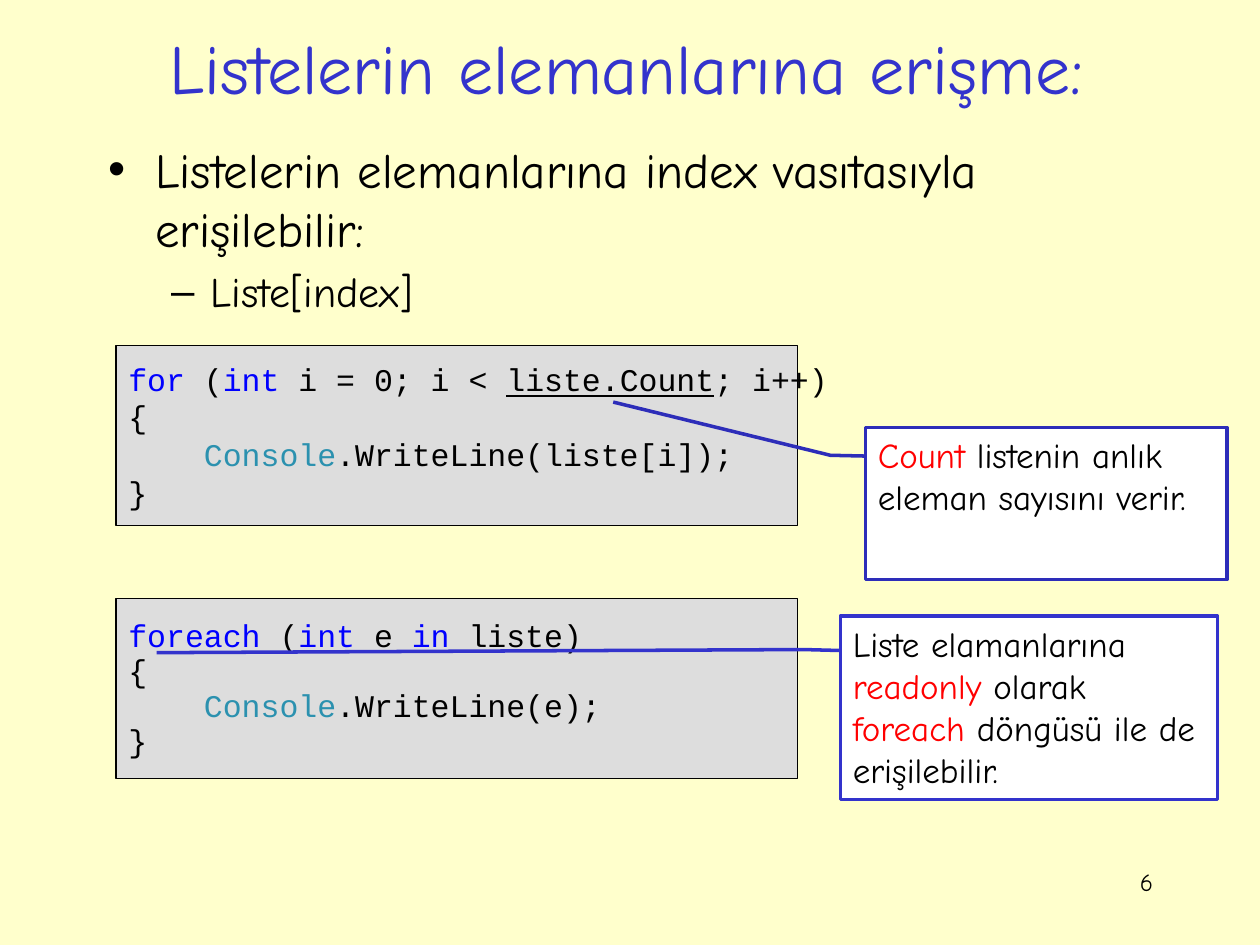
from lxml.etree import SubElement
from pptx import Presentation
from pptx.dml.color import RGBColor
from pptx.enum.shapes import MSO_SHAPE as Preset
from pptx.enum.text import MSO_ANCHOR as Anchor, PP_ALIGN as Align
from pptx.oxml.ns import qn
from pptx.util import Pt

CREAM = RGBColor(0xFF, 0xFF, 0xCC)
WHITE = RGBColor(0xFF, 0xFF, 0xFF)
BLACK = RGBColor(0, 0, 0)
GREY = RGBColor(0xDD, 0xDD, 0xDD)
INDIGO = RGBColor(0x33, 0x33, 0xCC)
DARK_INDIGO = RGBColor(0x2D, 0x2D, 0xB9)
RED = RGBColor(0xFF, 0, 0)
KEYWORD = RGBColor(0, 0, 0xFF)
CLASS = RGBColor(0x2B, 0x91, 0xAF)

BODY_FONT = "Comic Neue"
CODE_FONT = "Courier New"
CODE_SIZE = 18
CODE_INDENT = 4 * 0.6 * CODE_SIZE  # four monospaced characters


def write(frame, runs, *, size, font=BODY_FONT, color=BLACK, align=Align.LEFT,
          before=0, after=0, line=None, left=0, hang=0, bullet=None):
    """Add a paragraph; a run is a string or a (text, colour, underline) tuple."""
    first = frame.paragraphs[0]
    para = frame.add_paragraph() if first.runs else first
    para.alignment = align
    para.space_before, para.space_after = Pt(before), Pt(after)
    if line:
        para.line_spacing = Pt(line)
    props = para._p.get_or_add_pPr()
    props.set("marL", str(Pt(left)))
    props.set("indent", str(Pt(-hang)))
    if bullet:
        SubElement(props, qn("a:buFont"), typeface="Arial")
        SubElement(props, qn("a:buChar"), char=bullet)
    for part in runs:
        text, tint, underline = (part, color, False) if isinstance(part, str) else part
        run = para.add_run()
        run.text = text
        run.font.name, run.font.size = font, Pt(size)
        run.font.color.rgb = tint
        if underline:
            run.font.underline = True


def text_area(slide, left, top, width, height, anchor=Anchor.TOP):
    frame = slide.shapes.add_textbox(Pt(left), Pt(top), Pt(width), Pt(height)).text_frame
    frame.word_wrap = True
    frame.vertical_anchor = anchor
    return frame


def panel(slide, preset, box, fill, border, weight):
    shape = slide.shapes.add_shape(preset, *map(Pt, box))
    shape.shadow.inherit = False
    shape.fill.solid()
    shape.fill.fore_color.rgb = fill
    shape.line.color.rgb = border
    shape.line.width = Pt(weight)
    return shape


def code_box(slide, top, lines, line=None):
    frame = panel(slide, Preset.RECTANGLE, (66.25, top, 389.5, 103),
                  GREY, BLACK, 0.75).text_frame
    frame.word_wrap = False
    frame.vertical_anchor = Anchor.MIDDLE
    for number, (indent, runs) in enumerate(lines, 1):
        write(frame, runs, size=CODE_SIZE, font=CODE_FONT, line=line,
              left=indent * CODE_INDENT, after=10 if number == len(lines) else 0)


def callout(slide, box, border, tip, runs):
    """Callout whose pointer ends at tip, given as (y, x) fractions of the box."""
    shape = panel(slide, Preset.LINE_CALLOUT_2, box, WHITE, border, 2)
    for index, value in enumerate((0.188, -0.003, 0.183, -0.097, *tip)):
        shape.adjustments[index] = value
    shape.text_frame.word_wrap = True
    shape.text_frame.vertical_anchor = Anchor.TOP
    write(shape.text_frame, runs, size=20, before=4)


def main():
    deck = Presentation()
    deck.slide_width, deck.slide_height = Pt(720), Pt(540)
    slide = deck.slides.add_slide(deck.slide_layouts[6])
    slide.background.fill.solid()
    slide.background.fill.fore_color.rgb = CREAM

    # Title
    title = text_area(slide, 52, 11, 612, 54.5, Anchor.MIDDLE)
    write(title, ["Listelerin elemanlarına erişme:"], size=40, color=INDIGO,
          align=Align.CENTER)

    # Bullets
    bullets = text_area(slide, 54.75, 76.25, 612, 122.5)
    write(bullets, ["Listelerin elemanlarına index vasıtasıyla erişilebilir:"],
          size=28, before=5.6, left=27, hang=27, bullet="•")
    write(bullets, ["Liste[index]"], size=24, before=4.8, left=58.5, hang=22.5,
          bullet="–")

    # Slide number
    page = text_area(slide, 516, 492, 150, 36)
    write(page, ["6"], size=14, align=Align.RIGHT)

    # Loop by index
    console = ("Console", CLASS, False)
    int_type = ("int", KEYWORD, False)
    code_box(slide, 197.25, [
        (0, [("for", KEYWORD, False), " (", int_type, " i = 0; i < ",
             ("liste.Count", BLACK, True), "; i++)"]),
        (0, ["{"]),
        (1, [console, ".WriteLine(liste[i]);"]),
        (0, ["}"]),
    ])
    callout(slide, (494.5, 244.25, 206.5, 87), DARK_INDIGO, (-0.167, -0.698),
            [("Count", RED, False), " listenin anlık eleman sayısını verir."])

    # Loop by element
    code_box(slide, 342, [
        (0, [("foreach", KEYWORD, False), " (", int_type, " e ",
             ("in", KEYWORD, False), " liste)"]),
        (0, ["{"]),
        (1, [console, ".WriteLine(e);"]),
        (0, ["}"]),
    ], line=20)
    callout(slide, (480.25, 352, 215.5, 105), INDIGO, (0.2, -1.813),
            ["Liste elamanlarına ", ("readonly ", RED, False), "olarak ",
             ("foreach ", RED, False), "döngüsü ile de erişilebilir."])

    deck.save("out.pptx")


main()
